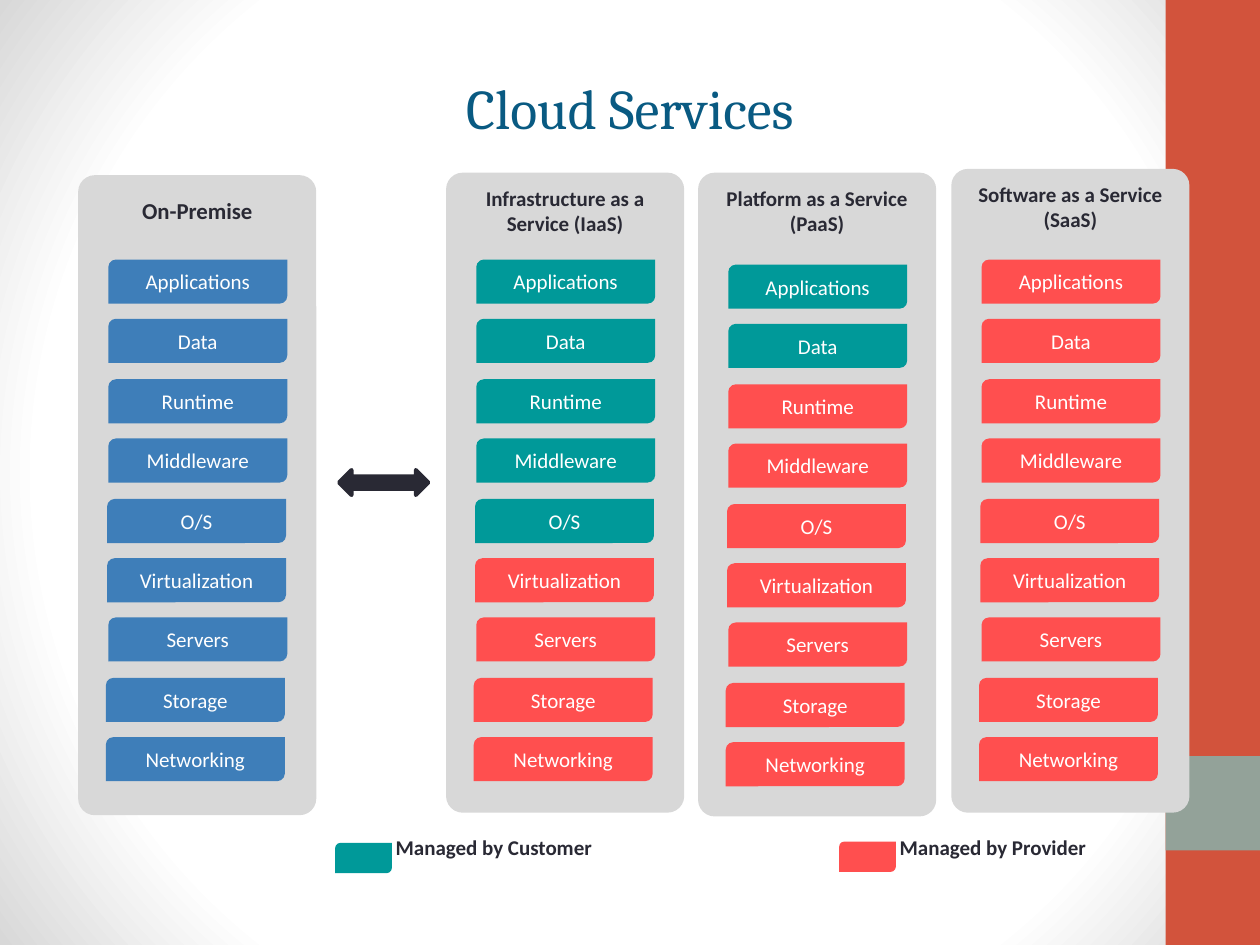
from dataclasses import dataclass

from lxml import etree
from pptx import Presentation
from pptx import util as u
from pptx.dml.color import RGBColor
from pptx.enum import shapes, text
from pptx.oxml import parse_xml
from pptx.oxml.ns import nsdecls, qn

PX = 9144  # EMU in one px, 100 px to the inch
WHITE = RGBColor(0xFF, 0xFF, 0xFF)
INK = RGBColor(0x29, 0x29, 0x34)
NAVY = RGBColor(0x09, 0x5A, 0x82)
PANEL = RGBColor(0xD8, 0xD8, 0xD8)
BLUE = RGBColor(0x3E, 0x7E, 0xB9)
TEAL = RGBColor(0x00, 0x99, 0x99)
RED = RGBColor(0xFF, 0x4F, 0x4F)
RUST = RGBColor(0xD2, 0x53, 0x3C)
SAGE = RGBColor(0x93, 0xA2, 0x99)

KIND = shapes.MSO_SHAPE
ALIGN = text.PP_ALIGN
ANCHOR = text.MSO_ANCHOR

LAYERS = ["Applications", "Data", "Runtime", "Middleware", "O/S",
          "Virtualization", "Servers", "Storage", "Networking"]
NUDGES = [0, 0, 0, 0, -1, -1, 0, -2, -2]  # sideways shift of each layer
LAYERS_SPAN = 379  # from the first layer to the last
BAR_INDENT = 24


@dataclass(frozen=True)
class Box:
    x: int
    y: int
    w: int
    h: int

    def emu(self) -> list[int]:
        return [v * PX for v in (self.x, self.y, self.w, self.h)]


@dataclass(frozen=True)
class Service:
    heading: str
    box: Box
    bars_top: int
    own: RGBColor
    own_count: int  # layers run by the customer
    size: int = 12
    pad_top: int = 6


@dataclass(frozen=True)
class LegendEntry:
    label: str
    swatch: Box
    color: RGBColor


SERVICES = [
    Service("On-Premise", Box(62, 139, 189, 508), 206, BLUE, 9, 13, 13),
    Service("Infrastructure as a Service (IaaS)", Box(354, 137, 189, 508), 206, TEAL, 5),
    Service("Platform as a Service (PaaS)", Box(554, 137, 189, 511), 210, TEAL, 2),
    Service("Software as a Service (SaaS)", Box(755, 134, 189, 511), 206, TEAL, 0),
]
LEGEND = [
    LegendEntry("Managed by Customer", Box(266, 669, 45, 24), TEAL),
    LegendEntry("Managed by Provider", Box(666, 668, 45, 24), RED),
]


def add_block(s, kind, box: Box, fill: RGBColor, *adj: float):
    sp = s.shapes.add_shape(kind, *box.emu())
    sp.shadow.inherit = False
    sp.fill.solid()
    sp.fill.fore_color.rgb = fill
    sp.line.fill.background()
    for i, value in enumerate(adj):
        sp.adjustments[i] = value
    return sp


def set_text(sp, words: str, size: int, color: RGBColor, bold: bool = False,
             font: str = "Calibri", align=ALIGN.CENTER, anchor=ANCHOR.MIDDLE,
             pads: tuple[int, int, int, int] = (11, 6, 11, 6)) -> None:
    tf = sp.text_frame
    tf.word_wrap = True
    tf.vertical_anchor = anchor
    (tf.margin_left, tf.margin_top,
     tf.margin_right, tf.margin_bottom) = [v * PX for v in pads]
    p = tf.paragraphs[0]
    p.alignment = align
    r = p.add_run()
    r.text = words
    r.font.name = font
    r.font.size = u.Pt(size)
    r.font.bold = bold
    r.font.color.rgb = color


def add_service(s, service: Service) -> None:
    sp = add_block(s, KIND.ROUNDED_RECTANGLE, service.box, PANEL, 0.07)
    set_text(sp, service.heading, service.size, INK, True, anchor=ANCHOR.TOP,
             pads=(11, service.pad_top, 11, 6))
    for i, (layer, nudge) in enumerate(zip(LAYERS, NUDGES)):
        box = Box(service.box.x + BAR_INDENT + nudge,
                  service.bars_top + round(LAYERS_SPAN * i / (len(LAYERS) - 1)), 142, 35)
        color = service.own if i < service.own_count else RED
        sp = add_block(s, KIND.ROUND_2_DIAG_RECTANGLE, box, color, 0.17, 0)
        set_text(sp, layer, 12, WHITE)


def add_legend_entry(s, entry: LegendEntry) -> None:
    add_block(s, KIND.ROUND_2_DIAG_RECTANGLE, entry.swatch, entry.color, 0.17, 0)
    box = Box(entry.swatch.x + entry.swatch.w, 661, 165, 23)
    sp = s.shapes.add_textbox(*box.emu())
    set_text(sp, entry.label, 12, INK, True, align=ALIGN.LEFT, anchor=ANCHOR.TOP,
             pads=(3, 1, 3, 1))
    sp.text_frame.auto_size = text.MSO_AUTO_SIZE.SHAPE_TO_FIT_TEXT


def set_radial_background(s) -> None:
    s.background.fill.gradient()
    grad = s.background.fill._fill._gradFill
    for child in list(grad):
        grad.remove(child)
    stops = etree.SubElement(grad, qn("a:gsLst"))
    for pos, color in ((0, WHITE), (75, WHITE), (100, PANEL)):
        stop = etree.SubElement(stops, qn("a:gs"), pos=str(pos * 1000))
        etree.SubElement(stop, qn("a:srgbClr"), val=str(color))
    grad.append(parse_xml(
        f'<a:path {nsdecls("a")} path="circle">'
        '<a:fillToRect l="50000" t="50000" r="50000" b="50000"/></a:path>'))


def main() -> None:
    prs = Presentation()
    prs.slide_width, prs.slide_height = 1000 * PX, 750 * PX
    s = prs.slides.add_slide(prs.slide_layouts[5])
    set_radial_background(s)

    # Side band
    add_block(s, KIND.RECTANGLE, Box(925, 0, 75, 750), RUST)
    add_block(s, KIND.RECTANGLE, Box(925, 600, 75, 75), SAGE)

    # Title
    title = s.shapes.title
    title.left, title.top, title.width, title.height = Box(51, 58, 898, 54).emu()
    set_text(title, "Cloud Services", 32, NAVY, font="Cambria", pads=(1, 1, 1, 1))

    # Service columns
    for service in SERVICES:
        add_service(s, service)

    # Arrow between own hosting and the cloud
    arrow = add_block(s, KIND.LEFT_RIGHT_ARROW, Box(269, 373, 71, 20), INK, 0.5, 0.5)
    arrow.line.color.rgb = INK
    arrow.line.width = u.Pt(2.25)

    # Legend
    for entry in LEGEND:
        add_legend_entry(s, entry)

    prs.save("out.pptx")


if __name__ == "__main__":
    main()
